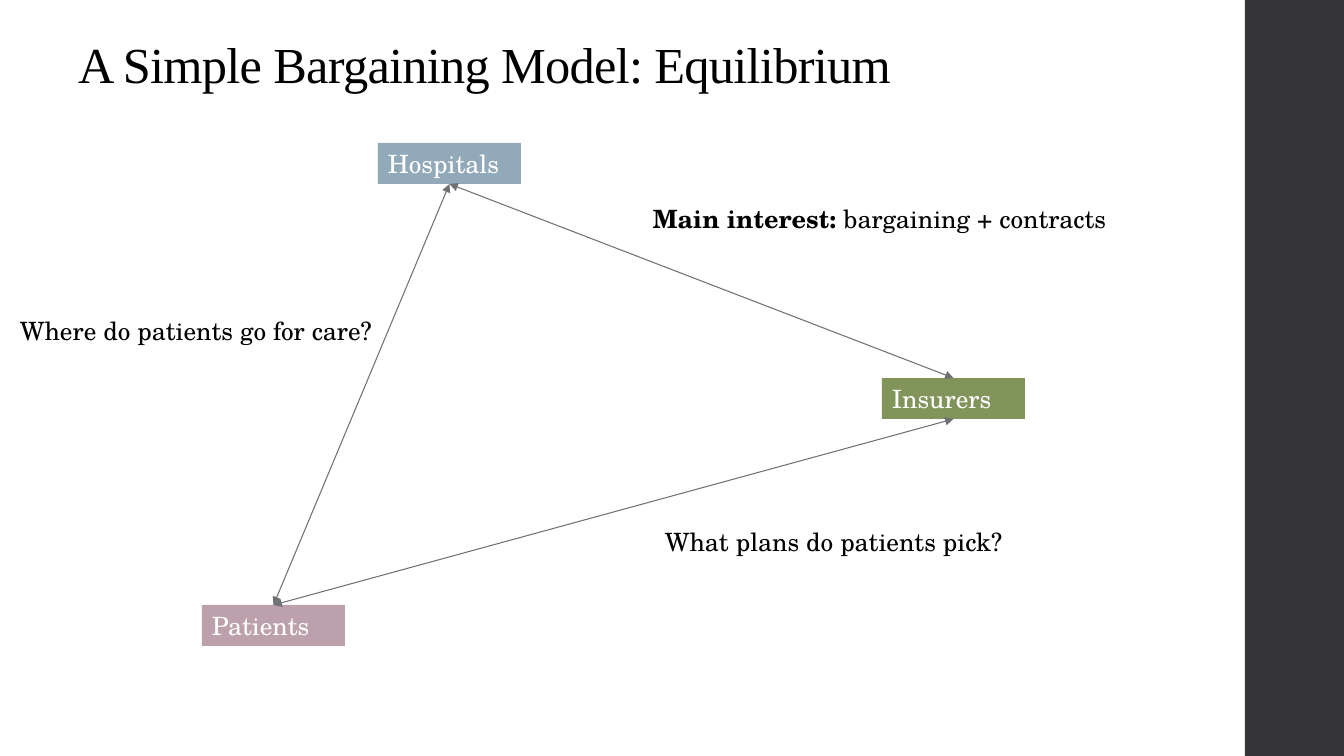
from lxml.etree import SubElement
from pptx import Presentation
from pptx.dml.color import RGBColor
from pptx.enum.shapes import MSO_CONNECTOR, MSO_SHAPE
from pptx.enum.text import MSO_ANCHOR, MSO_AUTO_SIZE, PP_ALIGN
from pptx.oxml.ns import qn
from pptx.util import Emu, Pt

PX = 914400 / 100.8
SLIDE_W, SLIDE_H = 1344, 756
ROW_H = 41
PARTY_W = 143
TOP, BOTTOM = 0, 2
BODY_FONT, TITLE_FONT = "TeX Gyre Schola", "Times New Roman"

COLORS = {
    "Hospitals": "92A9B9",
    "Insurers": "81955B",
    "Patients": "BCA0AB",
    "sidebar": "353537",
    "arrow": "6F6F74",
    "light": "FFFFFF",
    "dark": "000000",
}

TITLE = "A Simple Bargaining Model: Equilibrium"
PARTIES = {"Hospitals": (378, 143), "Insurers": (882, 378), "Patients": (202, 605)}
RELATIONS = [
    ("Hospitals", BOTTOM, "Patients", TOP),
    ("Hospitals", BOTTOM, "Insurers", TOP),
    ("Insurers", BOTTOM, "Patients", TOP),
]
QUESTIONS = [
    ((655, 521, 369), [("What plans do patients pick?", False)]),
    ((643, 198, 479), [("Main interest: ", True), ("bargaining + contracts", False)]),
    ((10, 310, 384), [("Where do patients go for care?", False)]),
]


def px(*lengths):
    return [Emu(round(length * PX)) for length in lengths]


def color(name):
    return RGBColor.from_string(COLORS[name])


def set_font(font, name, size, color_name):
    font.name, font.size = name, Pt(size)
    font.color.rgb = color(color_name)


def add_block(slide, color_name, *bounds):
    block = slide.shapes.add_shape(MSO_SHAPE.RECTANGLE, *px(*bounds))
    block.shadow.inherit = False
    block.fill.solid()
    block.fill.fore_color.rgb = color(color_name)
    block.line.fill.background()
    return block


def add_title(slide):
    title = slide.shapes.title
    title.left, title.top, title.width, title.height = px(68, 30, 1151, 69)
    frame = title.text_frame
    frame.text = TITLE
    frame.auto_size = MSO_AUTO_SIZE.NONE
    frame.vertical_anchor = MSO_ANCHOR.BOTTOM
    heading = frame.paragraphs[0]
    heading.alignment = PP_ALIGN.LEFT
    heading.line_spacing = 0.9
    set_font(heading.font, TITLE_FONT, 36, "dark")
    heading.runs[0].font._element.set("spc", "-50")


def add_party(slide, party, left, top):
    box = add_block(slide, party, left, top, PARTY_W, ROW_H)
    frame = box.text_frame
    frame.text = party
    frame.auto_size = MSO_AUTO_SIZE.SHAPE_TO_FIT_TEXT
    frame.vertical_anchor = MSO_ANCHOR.TOP
    label = frame.paragraphs[0]
    label.alignment = PP_ALIGN.LEFT
    set_font(label.font, BODY_FONT, 18, "light")
    return box


def add_relation(slide, start, start_side, end, end_side):
    arrow = slide.shapes.add_connector(MSO_CONNECTOR.STRAIGHT, 0, 0, 0, 0)
    arrow.begin_connect(start, start_side)
    arrow.end_connect(end, end_side)
    arrow.line.width = Pt(0.75)
    arrow.line.color.rgb = color("arrow")
    outline = arrow.line._get_or_add_ln()
    for tip in ("a:headEnd", "a:tailEnd"):
        SubElement(outline, qn(tip), type="triangle")
    SubElement(arrow._element.spPr, qn("a:effectLst"))


def add_question(slide, left, top, width, pieces):
    frame = slide.shapes.add_textbox(*px(left, top, width, ROW_H)).text_frame
    frame.word_wrap = False
    frame.auto_size = MSO_AUTO_SIZE.SHAPE_TO_FIT_TEXT
    question = frame.paragraphs[0]
    set_font(question.font, BODY_FONT, 18, "dark")
    for words, bold in pieces:
        piece = question.add_run()
        piece.text = words
        piece.font.bold = bold


def main():
    deck = Presentation()
    deck.slide_width, deck.slide_height = px(SLIDE_W, SLIDE_H)
    slide = deck.slides.add_slide(deck.slide_layouts[5])
    add_block(slide, "sidebar", 1245, 0, SLIDE_W - 1245, SLIDE_H)
    add_title(slide)
    boxes = {party: add_party(slide, party, *spot) for party, spot in PARTIES.items()}
    for start, start_side, end, end_side in RELATIONS:
        add_relation(slide, boxes[start], start_side, boxes[end], end_side)
    for spot, pieces in QUESTIONS:
        add_question(slide, *spot, pieces)
    deck.save("out.pptx")


if __name__ == "__main__":
    main()
